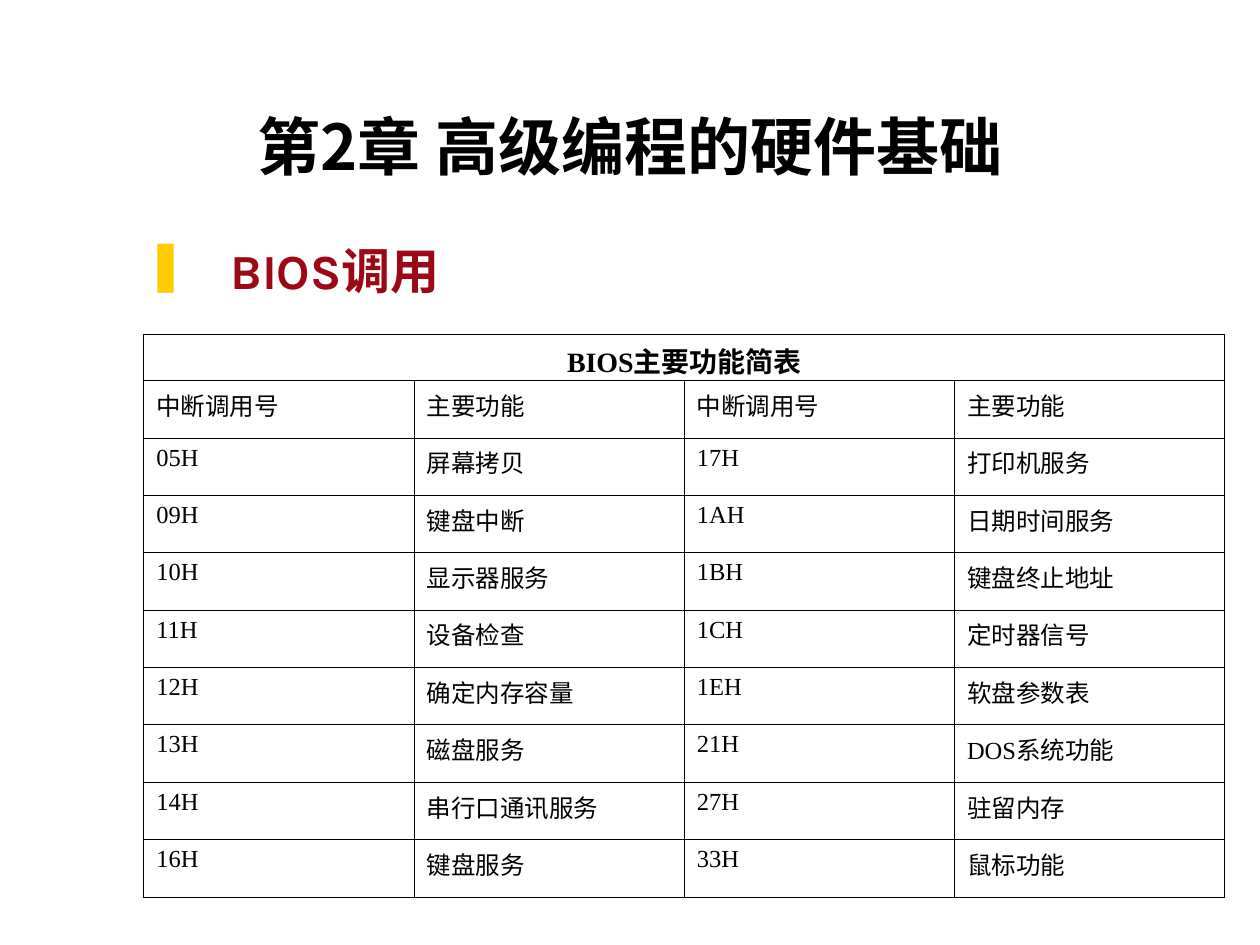
from lxml.etree import SubElement
from pptx import Presentation
from pptx.dml.color import RGBColor
from pptx.enum.text import MSO_ANCHOR as Anchor, PP_ALIGN as Align
from pptx.oxml import parse_xml
from pptx.oxml.ns import nsdecls, qn
from pptx.util import Inches, Pt

COLORS = {"ink": "000000", "heading": "9C0816", "bullet": "FFCC00"}
HAN, SERIF, SANS = "Noto Sans CJK SC", "Times New Roman", "Karla"
TITLE_ONLY = 5
FUNCTIONS = [
    ("中断调用号", "主要功能", "中断调用号", "主要功能"),
    ("05H", "屏幕拷贝", "17H", "打印机服务"),
    ("09H", "键盘中断", "1AH", "日期时间服务"),
    ("10H", "显示器服务", "1BH", "键盘终止地址"),
    ("11H", "设备检查", "1CH", "定时器信号"),
    ("12H", "确定内存容量", "1EH", "软盘参数表"),
    ("13H", "磁盘服务", "21H", "DOS系统功能"),
    ("14H", "串行口通讯服务", "27H", "驻留内存"),
    ("16H", "键盘服务", "33H", "鼠标功能"),
]


def write(frame, text, size, font=SERIF, color="ink", bold=False,
          align=Align.LEFT, hang=0, bullet=None):
    """Fill a text frame with one paragraph; hang is the hanging indent in inches."""
    frame.word_wrap = True
    paragraph = frame.paragraphs[0]
    paragraph.alignment = align
    layout = paragraph._p.get_or_add_pPr()
    layout.set("marL", str(Inches(hang)))
    layout.set("indent", str(-Inches(hang)))
    if bullet:
        tint = SubElement(layout, qn("a:buClr"))
        SubElement(tint, qn("a:srgbClr"), val=COLORS["bullet"])
        SubElement(layout, qn("a:buChar"), char=bullet)
    run = paragraph.add_run()
    run.text = text
    run.font.size, run.font.bold, run.font.name = Pt(size), bold, font
    run.font.color.rgb = RGBColor.from_string(COLORS[color])
    SubElement(run._r.get_or_add_rPr(), qn("a:ea"), typeface=HAN)


def set_borders(cell, width=0.45):
    properties = cell._tc.get_or_add_tcPr()
    for position, side in enumerate("LRTB"):
        properties.insert(position, parse_xml(
            f'<a:ln{side} {nsdecls("a")} w="{Pt(width)}"><a:solidFill>'
            f'<a:srgbClr val="{COLORS["ink"]}"/></a:solidFill></a:ln{side}>'))


def place_title(slide, left, top, width, height):
    title = slide.shapes.title
    title.left, title.top, title.width, title.height = left, top, width, height
    title.text_frame.vertical_anchor = Anchor.BOTTOM
    write(title.text_frame, "第2章 高级编程的硬件基础", 36, font=HAN, bold=True,
          align=Align.CENTER)


def place_heading(slide, *box):
    heading = slide.shapes.add_textbox(*box)
    write(heading.text_frame, "BIOS调用", 28, font=SANS, color="heading", bold=True,
          align=Align.JUSTIFY, hang=0.67, bullet="❚")


def place_function_table(slide, left, top, width, height):
    columns = len(FUNCTIONS[0])
    caption_height = Inches(0.37)
    table = slide.shapes.add_table(len(FUNCTIONS) + 1, columns,
                                   left, top, width, height).table
    table.first_row = table.horz_banding = False
    for column in table.columns:
        column.width = width // columns
    for row in table.rows:
        row.height = (height - caption_height) // len(FUNCTIONS)
    table.rows[0].height = caption_height

    for cell in table.iter_cells():
        cell.fill.background()
        set_borders(cell)

    caption = table.cell(0, 0)
    caption.merge(table.cell(0, columns - 1))
    write(caption.text_frame, "BIOS主要功能简表", 16, bold=True,
          align=Align.CENTER, hang=0.38)
    for row, entries in enumerate(FUNCTIONS, start=1):
        for column, entry in enumerate(entries):
            write(table.cell(row, column).text_frame, entry, 14, hang=0.38)


def main():
    deck = Presentation()
    deck.slide_width, deck.slide_height = Inches(10), Inches(7.5)
    slide = deck.slides.add_slide(deck.slide_layouts[TITLE_ONLY])
    place_title(slide, 0, Inches(0.25), deck.slide_width, Inches(1.25))
    place_heading(slide, Inches(1.06), Inches(1.86), Inches(8.25), Inches(0.69))
    place_function_table(slide, Inches(1.14), Inches(2.65), Inches(8.58), Inches(4.47))
    deck.save("out.pptx")


if __name__ == "__main__":
    main()
